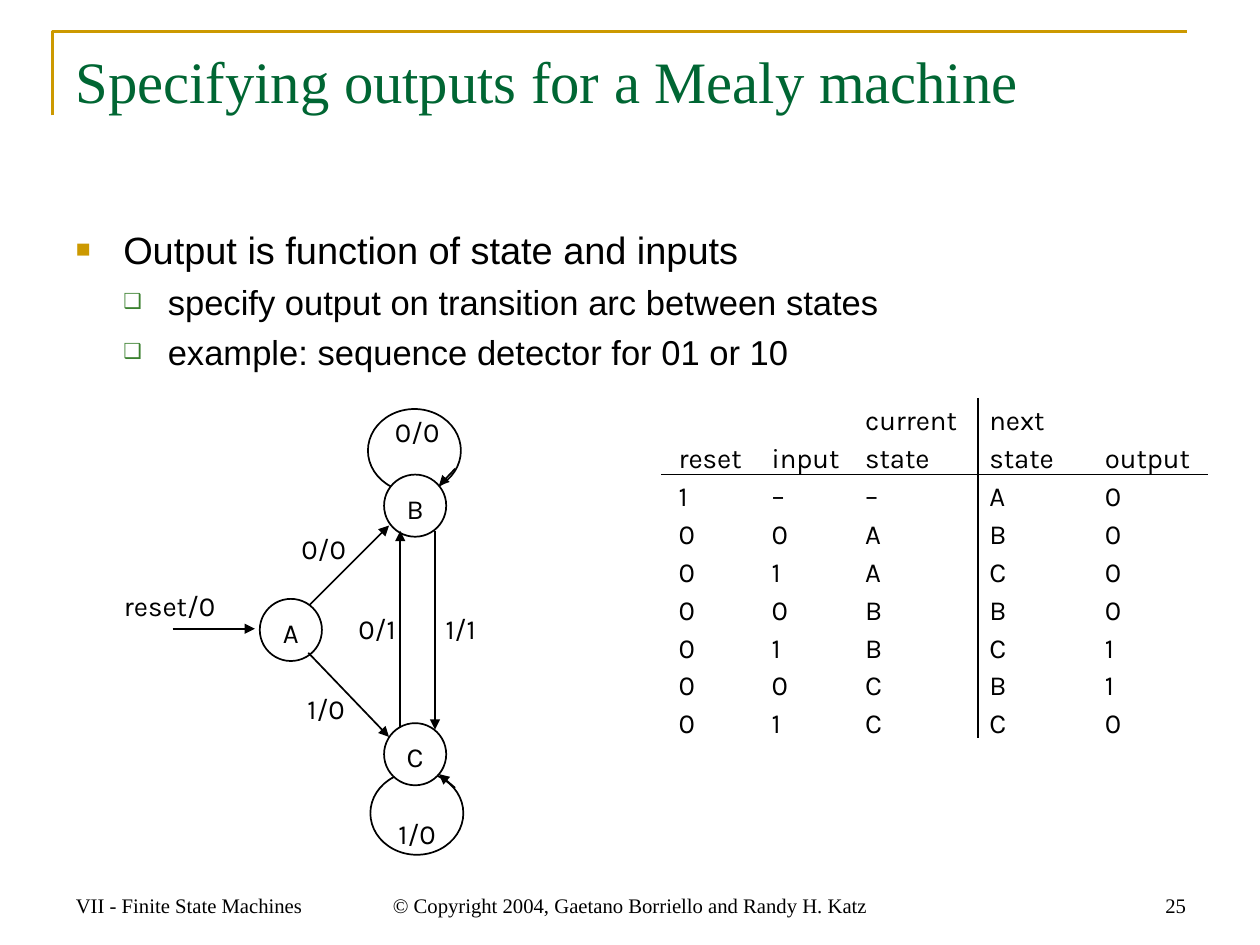
import pptx
import pptx.util
import pptx.dml.color
import pptx.enum.shapes
import pptx.enum.text
import pptx.oxml.ns
from lxml import etree

Cm = pptx.util.Cm
Pt = pptx.util.Pt
RGB = pptx.dml.color.RGBColor.from_string
ALIGN = pptx.enum.text.PP_ALIGN
ANCHOR = pptx.enum.text.MSO_ANCHOR
SHAPE = pptx.enum.shapes.MSO_SHAPE
qn = pptx.oxml.ns.qn

COLORS = {"black": "000000", "white": "FFFFFF", "gold": "CC9900",
          "title": "006633", "leaf": "3B812F"}
SERIF = "Times New Roman"

deck = pptx.Presentation()
deck.slide_width = Cm(25.75)
deck.slide_height = deck.slide_width * 3 // 4
page = deck.slides.add_slide(deck.slide_layouts[6])
shapes = page.shapes


def add_box(left, top, width, height, side=0.25, edge=0.13, anchor=ANCHOR.TOP):
    frame = shapes.add_textbox(Cm(left), Cm(top), Cm(width), Cm(height)).text_frame
    frame.word_wrap = True
    frame.vertical_anchor = anchor
    frame.margin_left = frame.margin_right = Cm(side)
    frame.margin_top = frame.margin_bottom = Cm(edge)
    return frame


def write(frame, text, size=16, font="Karla", color="black", align=ALIGN.LEFT,
          leading=None, before=0, bullet=None, tabs=()):
    para = frame.add_paragraph() if frame.text else frame.paragraphs[0]
    layout = para._p.get_or_add_pPr()
    if bullet:
        mark, tint, percent, indent, hanging = bullet
        layout.set("marL", str(Cm(indent)))
        layout.set("indent", str(-Cm(hanging)))
        tone = etree.SubElement(layout, qn("a:buClr"))
        etree.SubElement(tone, qn("a:srgbClr"), val=COLORS[tint])
        etree.SubElement(layout, qn("a:buSzPct"), val=str(percent * 1000))
        etree.SubElement(layout, qn("a:buFont"), typeface="Arial")
        etree.SubElement(layout, qn("a:buChar"), char=mark)
    if tabs:
        stops = etree.SubElement(layout, qn("a:tabLst"))
        for stop in tabs:
            etree.SubElement(stops, qn("a:tab"), pos=str(Cm(stop)), algn="l")
    para.alignment = align
    para.space_before = Pt(before)
    if leading:
        para.line_spacing = Pt(leading)
    para.text = text
    for span in para.runs:
        span.font.size = Pt(size)
        span.font.name = font
        span.font.color.rgb = RGB(COLORS[color])


outline = shapes.build_freeform(Cm(1.07), Cm(2.36), scale=1.0)
outline.add_line_segments([(Cm(1.07), Cm(0.64)), (Cm(24.26), Cm(0.64))], close=False)
corner = outline.convert_to_shape()
corner.shadow.inherit = False
corner.fill.background()
corner.line.color.rgb = RGB(COLORS["gold"])
corner.line.width = Pt(1.5)

states = add_box(13.82, 8.05, 11.07, 7.34, side=0.05, edge=0.08)
header = "\t\tcurrent\tnext\nreset\tinput\tstate\tstate\toutput"
transitions = ["1––A0", "00AB0", "01AC0", "00BB0", "01BC1", "00CB1", "01CC0"]
for row in [header] + ["\t".join(transition) for transition in transitions]:
    write(states, row, leading=22, tabs=(1.9, 3.81, 6.35, 8.71))

ovals = [("", 7.57, 15.77, 1.9, 1.7), ("", 7.52, 8.36, 1.9, 1.7),
         ("A", 5.31, 12.24, 1.27, 1.27), ("B", 7.85, 9.7, 1.27, 1.27),
         ("C", 7.85, 14.78, 1.27, 1.27)]
for state, left, top, width, height in ovals:
    oval = shapes.add_shape(SHAPE.OVAL, Cm(left), Cm(top), Cm(width), Cm(height))
    oval.shadow.inherit = False
    oval.line.color.rgb = RGB(COLORS["black"])
    oval.line.width = Pt(1)
    if state:
        oval.fill.solid()
        oval.fill.fore_color.rgb = RGB(COLORS["white"])
        frame = oval.text_frame
        frame.word_wrap = False
        frame.vertical_anchor = ANCHOR.MIDDLE
        frame.margin_left = frame.margin_right = frame.margin_top = frame.margin_bottom = 0
        write(frame, state, align=ALIGN.CENTER, leading=22)
    else:
        oval.fill.background()

rules = [(13.51, 9.7, 24.69, 9.7), (19.99, 8.13, 19.99, 15.09)]
arrows = [(3.53, 12.85, 5.21, 12.85), (6.32, 12.37, 7.95, 10.74),
          (6.3, 13.34, 7.95, 15.06), (8.89, 10.85, 8.89, 14.91),
          (8.18, 14.88, 8.18, 10.85), (9.3, 9.58, 8.97, 9.93),
          (9.3, 16.1, 8.97, 15.82)]
for ends in rules + arrows:
    stroke = shapes.add_connector(pptx.enum.shapes.MSO_CONNECTOR.STRAIGHT,
                                  *[Cm(value) for value in ends])
    stroke.line.color.rgb = RGB(COLORS["black"])
    stroke.line.width = Pt(1)
    if ends in arrows:
        etree.SubElement(stroke.line._get_or_add_ln(), qn("a:tailEnd"), type="triangle")
    etree.SubElement(stroke._element.spPr, qn("a:effectLst"))

labels = [("0/1", 6.93, 12.32), ("0/0", 5.84, 10.69), ("0/0", 7.75, 8.31),
          ("1/1", 8.64, 12.32), ("1/0", 7.75, 16.51), ("1/0", 5.89, 13.97)]
for text, left, top in labels:
    write(add_box(left, top, 1.55, 1.12, side=0.05, edge=0.08), text,
          align=ALIGN.CENTER, leading=22)
write(add_box(1.73, 11.86, 2.72, 1.12, side=0.05, edge=0.08), "reset/0",
      align=ALIGN.RIGHT, leading=22)

write(add_box(1.3, 0.79, 23.16, 3.2), "Specifying outputs for a Mealy machine",
      size=34, font=SERIF, color="title")

body = add_box(1.3, 4.5, 23.16, 12.75)
write(body, "Output is function of state and inputs", size=22, font="Arial",
      bullet=("■", "gold", 65, 0.97, 0.97))
for point in ("specify output on transition arc between states",
              "example: sequence detector for 01 or 10"):
    write(body, point, size=20, font="Arial", before=5,
          bullet=("❑", "leaf", 60, 1.88, 0.91))

footers = [("© Copyright 2004, Gaetano Borriello and Randy H. Katz", 7.52, 10.72, ALIGN.CENTER),
           ("25", 18.47, 6.02, ALIGN.RIGHT),
           ("VII - Finite State Machines", 1.3, 6.02, ALIGN.LEFT)]
for text, left, width, align in footers:
    write(add_box(left, 17.58, width, 1.3, anchor=ANCHOR.BOTTOM), text,
          size=12, font=SERIF, align=align)

deck.save("out.pptx")
